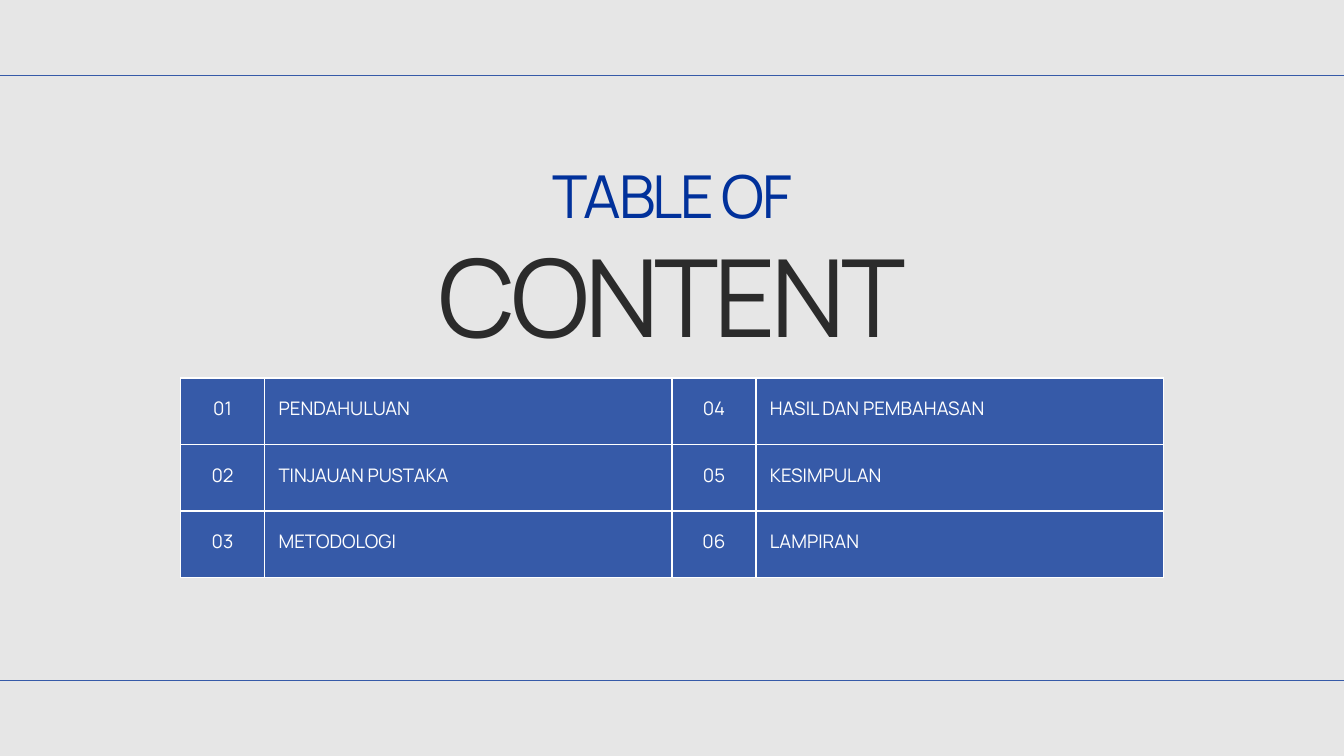
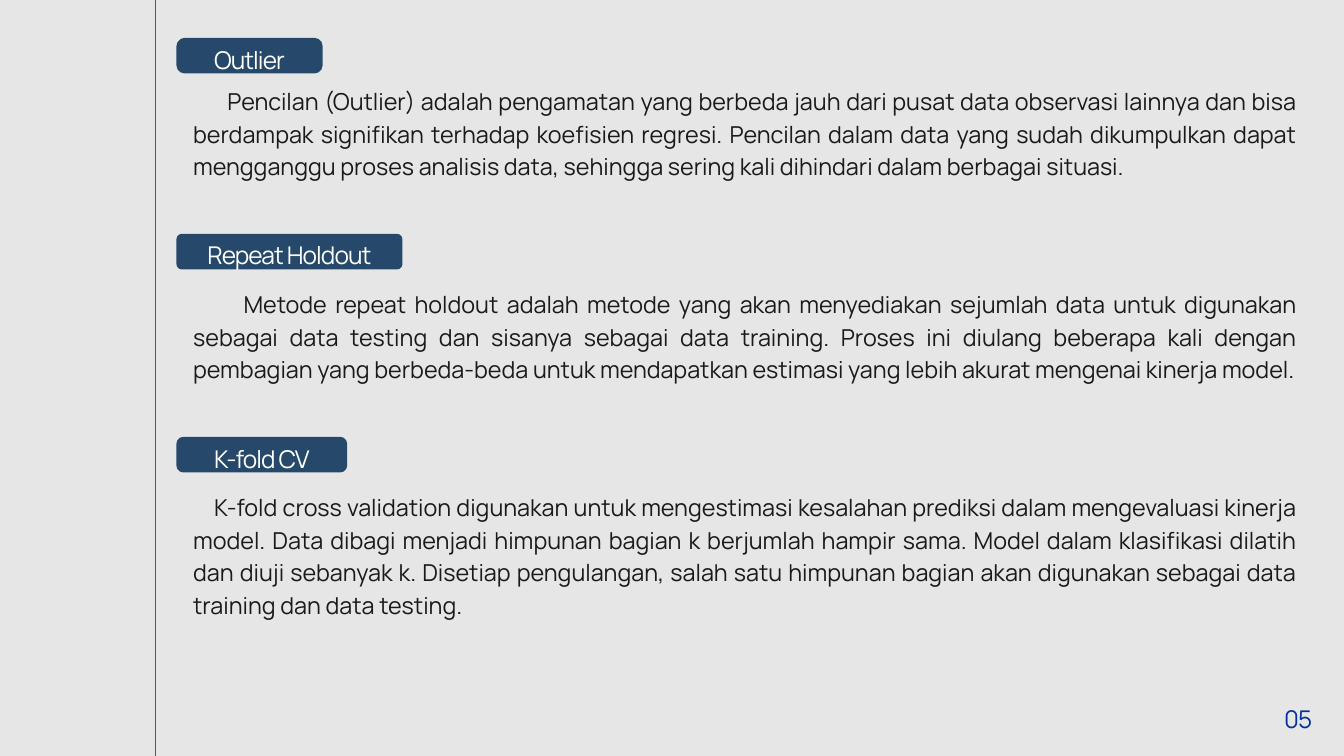
from dataclasses import dataclass
from itertools import product
from typing import Any

from lxml.etree import SubElement
from pptx import Presentation
from pptx.dml.color import RGBColor
from pptx.enum.shapes import MSO_AUTO_SHAPE_TYPE, MSO_CONNECTOR
from pptx.enum.text import MSO_ANCHOR, MSO_AUTO_SIZE, PP_ALIGN
from pptx.oxml.ns import qn
from pptx.slide import Slide
from pptx.text.text import TextFrame
from pptx.util import Pt

PIXEL = 9525
PAGE_WIDTH, PAGE_HEIGHT = 1920, 1080

PAPER = RGBColor(0xE6, 0xE6, 0xE6)
BLUE = RGBColor(0x36, 0x5A, 0xA8)
DEEP_BLUE = RGBColor(0x01, 0x31, 0x9B)
NAVY = RGBColor(0x26, 0x48, 0x6A)
CHARCOAL = RGBColor(0x2B, 0x2B, 0x2B)
INK = RGBColor(0x1B, 0x1A, 0x1A)
WHITE = RGBColor(0xFF, 0xFF, 0xFF)
IVORY = RGBColor(0xFF, 0xFF, 0xFB)

FONT = "Manrope"


@dataclass(frozen=True)
class TextStyle:
    size: float
    line_spacing: float
    color: RGBColor
    align: PP_ALIGN = PP_ALIGN.CENTER
    tracking: float = 0


@dataclass(frozen=True)
class Frame:
    left: int
    top: int
    width: int
    height: int

    def emu(self) -> tuple[int, ...]:
        return tuple(px(side) for side in (self.left, self.top, self.width, self.height))


@dataclass(frozen=True)
class Topic:
    heading: str
    top: int
    pill_width: int
    pill_radius: int
    body_top: int
    first_indent: int
    body: str


KICKER = TextStyle(63.4, 88.7, DEEP_BLUE, tracking=-2.5)
TITLE = TextStyle(115.4, 161.5, CHARCOAL, tracking=-4.6)
CELL_NUMBER = TextStyle(20, 22, WHITE)
CELL_NAME = TextStyle(20, 22, WHITE, PP_ALIGN.LEFT)
PILL = TextStyle(26.2, 36.7, IVORY, tracking=-1)
PAGE_NUMBER = TextStyle(26.2, 36.7, DEEP_BLUE, tracking=-1)
BODY = TextStyle(25, 35, INK, PP_ALIGN.JUSTIFY)

CHAPTERS = [
    "PENDAHULUAN", "TINJAUAN PUSTAKA", "METODOLOGI",
    "HASIL DAN PEMBAHASAN", "KESIMPULAN", "LAMPIRAN",
]
CHAPTER_ROWS = 3
CHAPTER_FRAME = Frame(258, 540, 1404, 285)
COLUMN_WIDTHS = [120, 582, 120, 582]
CELL_MARGIN = 20

PILL_LEFT, PILL_HEIGHT = 252, 51
BODY_LEFT, BODY_WIDTH, BODY_HEIGHT = 276, 1576, 185

TOPICS = [
    Topic(
        "Outlier", 54, 209, 12, 118, 49,
        "Pencilan (Outlier) adalah pengamatan yang berbeda jauh dari pusat data observasi "
        "lainnya dan bisa berdampak signifikan terhadap koefisien regresi. Pencilan dalam "
        "data yang sudah dikumpulkan dapat mengganggu proses analisis data, sehingga sering "
        "kali dihindari dalam berbagai situasi.",
    ),
    Topic(
        "Repeat Holdout", 334, 323, 8, 408, 72,
        "Metode repeat holdout adalah metode yang akan menyediakan sejumlah data untuk "
        "digunakan sebagai data testing dan sisanya sebagai data training. Proses ini "
        "diulang beberapa kali dengan pembagian yang berbeda-beda untuk mendapatkan "
        "estimasi yang lebih akurat mengenai kinerja model.",
    ),
    Topic(
        "K-fold CV", 624, 244, 10, 698, 30,
        "K-fold cross validation digunakan untuk mengestimasi kesalahan prediksi dalam "
        "mengevaluasi kinerja model. Data dibagi menjadi himpunan bagian k berjumlah hampir "
        "sama. Model dalam klasifikasi dilatih dan diuji sebanyak k. Disetiap pengulangan, "
        "salah satu himpunan bagian akan digunakan sebagai data training dan data testing.",
    ),
]


def px(length: int) -> int:
    return length * PIXEL


def apply(target: Any, values: dict[str, Any]) -> None:
    """Set each named attribute of the target."""
    for name, value in values.items():
        setattr(target, name, value)


def write(text_frame: TextFrame, text: str, style: TextStyle, first_indent: int = 0) -> None:
    para = text_frame.paragraphs[0]
    apply(para, {"alignment": style.align, "line_spacing": Pt(style.line_spacing)})
    if first_indent:
        para._p.get_or_add_pPr().set("indent", str(px(first_indent)))
    span = para.add_run()
    span.text = text
    apply(span.font, {"name": FONT, "size": Pt(style.size)})
    span.font.color.rgb = style.color
    if style.tracking:
        span._r.get_or_add_rPr().set("spc", str(round(style.tracking * 100)))


def set_margins(target: Any, margin: int) -> None:
    apply(target, {f"margin_{side}": px(margin) for side in ("left", "top", "right", "bottom")})


def add_text(page: Slide, frame: Frame, text: str, style: TextStyle, first_indent: int = 0) -> None:
    text_frame = page.shapes.add_textbox(*frame.emu()).text_frame
    apply(text_frame, {"word_wrap": True, "auto_size": MSO_AUTO_SIZE.SHAPE_TO_FIT_TEXT})
    set_margins(text_frame, 0)
    write(text_frame, text, style, first_indent)


def add_rule(page: Slide, start: tuple[int, int], end: tuple[int, int], weight: float) -> None:
    points = [px(value) for value in (*start, *end)]
    rule = page.shapes.add_connector(MSO_CONNECTOR.STRAIGHT, *points)
    rule.line.color.rgb = BLUE
    rule.line.width = Pt(weight)
    SubElement(rule._element.spPr, qn("a:effectLst"))


def add_pill(page: Slide, topic: Topic) -> None:
    frame = Frame(PILL_LEFT, topic.top, topic.pill_width, PILL_HEIGHT)
    pill = page.shapes.add_shape(MSO_AUTO_SHAPE_TYPE.ROUNDED_RECTANGLE, *frame.emu())
    pill.adjustments[0] = topic.pill_radius / PILL_HEIGHT
    pill.shadow.inherit = False
    pill.fill.solid()
    pill.fill.fore_color.rgb = NAVY
    pill.line.fill.background()
    apply(pill.text_frame, {"word_wrap": True, "vertical_anchor": MSO_ANCHOR.TOP})
    set_margins(pill.text_frame, 0)
    write(pill.text_frame, topic.heading, PILL)


def add_borders(cell: Any, color: RGBColor, weight: float) -> None:
    properties = cell._tc.get_or_add_tcPr()
    for side in ("lnL", "lnR", "lnT", "lnB"):
        border = SubElement(properties, qn(f"a:{side}"), w=str(Pt(weight)))
        fill = SubElement(border, qn("a:solidFill"))
        SubElement(fill, qn("a:srgbClr"), val=str(color))


def add_chapter_table(page: Slide) -> None:
    """Number the chapters down the left pair of columns, then the right pair."""
    columns = len(COLUMN_WIDTHS)
    table = page.shapes.add_table(CHAPTER_ROWS, columns, *CHAPTER_FRAME.emu()).table
    apply(table, {"first_row": False, "horz_banding": False})
    for column, width in zip(table.columns, COLUMN_WIDTHS):
        column.width = px(width)
    for row, column in product(range(CHAPTER_ROWS), range(columns)):
        pair, is_name = divmod(column, 2)
        index = pair * CHAPTER_ROWS + row
        cell = table.cell(row, column)
        add_borders(cell, WHITE, 1.5)
        cell.fill.solid()
        cell.fill.fore_color.rgb = BLUE
        cell.vertical_anchor = MSO_ANCHOR.MIDDLE
        set_margins(cell, CELL_MARGIN)
        if is_name:
            write(cell.text_frame, CHAPTERS[index], CELL_NAME)
        else:
            write(cell.text_frame, f"{index + 1:02}", CELL_NUMBER)


def add_page(deck: Any) -> Slide:
    page = deck.slides.add_slide(deck.slide_layouts[6])
    page.background.fill.solid()
    page.background.fill.fore_color.rgb = PAPER
    return page


def build_contents(page: Slide) -> None:
    for height in (108, PAGE_HEIGHT - 108):
        add_rule(page, (0, height), (PAGE_WIDTH, height), 0.75)
    add_chapter_table(page)
    add_text(page, Frame(623, 211, 674, 119), "TABLE OF", KICKER)
    add_text(page, Frame(573, 297, 774, 218), "CONTENT", TITLE)


def build_topics(page: Slide) -> None:
    add_rule(page, (222, PAGE_HEIGHT), (222, 0), 1.5)
    for topic in TOPICS:
        add_pill(page, topic)
        frame = Frame(BODY_LEFT, topic.body_top, BODY_WIDTH, BODY_HEIGHT)
        add_text(page, frame, topic.body, BODY, topic.first_indent)
    add_text(page, Frame(1822, 999, 65, 48), "05", PAGE_NUMBER)


def main() -> None:
    deck = Presentation()
    apply(deck, {"slide_width": px(PAGE_WIDTH), "slide_height": px(PAGE_HEIGHT)})
    build_contents(add_page(deck))
    build_topics(add_page(deck))
    deck.save("out.pptx")


if __name__ == "__main__":
    main()
